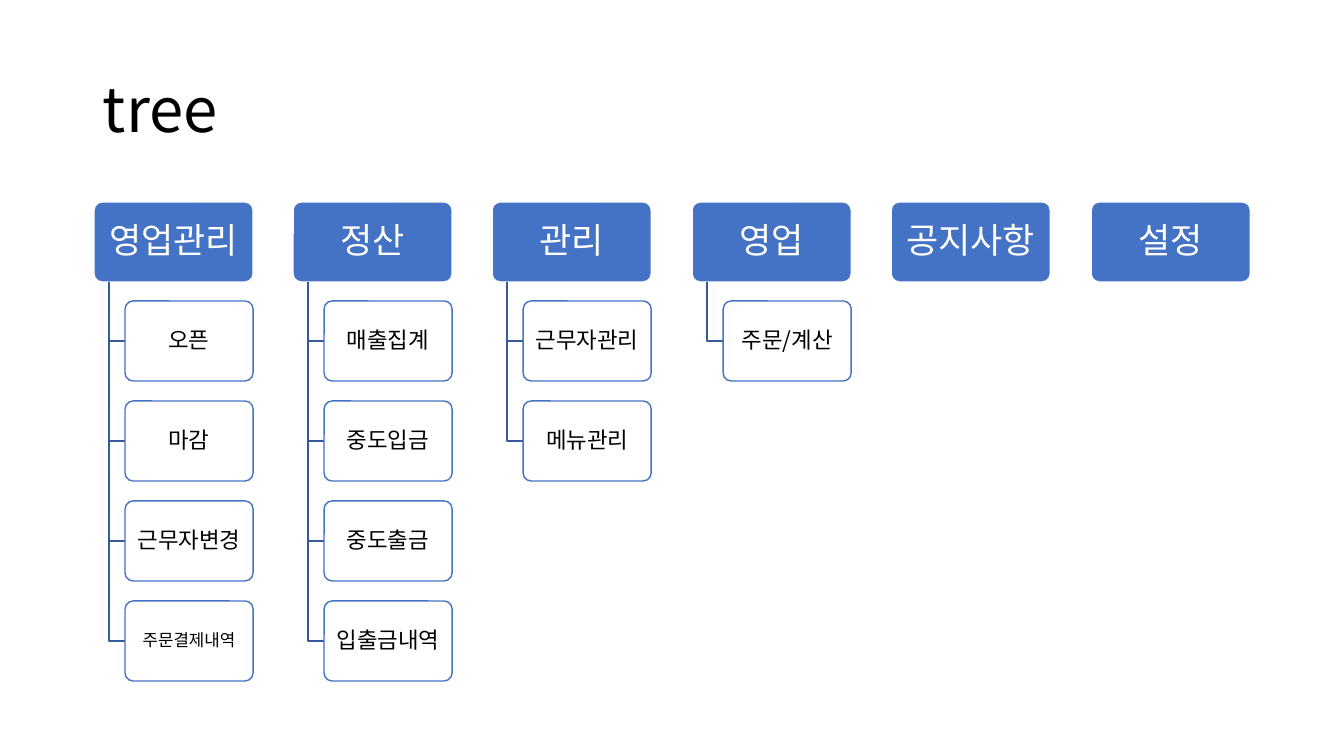
from lxml.etree import SubElement
from pptx import Presentation
from pptx.dml.color import RGBColor
from pptx.enum.shapes import MSO_SHAPE
from pptx.enum.text import MSO_ANCHOR, PP_ALIGN
from pptx.oxml.ns import qn
from pptx.util import Inches, Pt

WHITE = RGBColor(0xFF, 0xFF, 0xFF)
BLACK = RGBColor(0x00, 0x00, 0x00)
BLUE = RGBColor(0x44, 0x72, 0xC4)
DARK_BLUE = RGBColor(0x36, 0x5B, 0x9D)

MENUS = [
    ("영업관리", [("오픈", 16), ("마감", 16), ("근무자변경", 16), ("주문결제내역", 12)]),
    ("정산", [("매출집계", 16), ("중도입금", 16), ("중도출금", 16), ("입출금내역", 16)]),
    ("관리", [("근무자관리", 16), ("메뉴관리", 16)]),
    ("영업", [("주문/계산", 16)]),
    ("공지사항", []),
    ("설정", []),
]


class TreeSlide:
    """Draws the parts of a menu tree on one slide, in pixels."""

    font = "Noto Sans CJK KR"
    scale = 914400 / 100.8

    def __init__(self, prs):
        self.s = prs.slides.add_slide(prs.slide_layouts[6])

    def emu(self, *px):
        return [round(v * self.scale) for v in px]

    def label(self, sp, text, size, color, align, inset_x, inset_y):
        tf = sp.text_frame
        frame = {
            "word_wrap": True, "vertical_anchor": MSO_ANCHOR.MIDDLE,
            "margin_left": Inches(inset_x), "margin_right": Inches(inset_x),
            "margin_top": Inches(inset_y), "margin_bottom": Inches(inset_y),
        }
        p = tf.paragraphs[0]
        r = p.add_run()
        r.text = text
        r.font.color.rgb = color
        formats = [
            (tf, frame),
            (p, {"alignment": align, "line_spacing": 0.9}),
            (r.font, {"size": Pt(size), "name": self.font}),
        ]
        for obj, values in formats:
            for name, value in values.items():
                setattr(obj, name, value)
        SubElement(r.font._element, qn("a:ea"), typeface=self.font)

    def title(self, text, *box):
        sp = self.s.shapes.add_textbox(*self.emu(*box))
        self.label(sp, text, 44, BLACK, PP_ALIGN.LEFT, 0.1, 0.05)

    def outline(self, sp, color):
        sp.shadow.inherit = False
        sp.line.color.rgb = color
        sp.line.width = Pt(1)

    def box(self, text, size, box, fill, line, color, inset_x, inset_y, alpha=100):
        sp = self.s.shapes.add_shape(MSO_SHAPE.ROUNDED_RECTANGLE, *self.emu(*box))
        sp.adjustments[0] = 0.1
        sp.fill.solid()
        sp.fill.fore_color.rgb = fill
        if alpha < 100:
            clr = sp._element.spPr.find(qn("a:solidFill"))[0]
            SubElement(clr, qn("a:alpha"), val=str(alpha * 1000))
        self.outline(sp, line)
        self.label(sp, text, size, color, PP_ALIGN.CENTER, inset_x, inset_y)

    def header(self, text, *box):
        self.box(text, 25, box, BLUE, WHITE, WHITE, 0.07, 0.05)

    def item(self, text, size, *box):
        self.box(text, size, box, WHITE, BLUE, BLACK, 0.05, 0.04, alpha=90)

    def elbow(self, x, top, right, bottom):
        fb = self.s.shapes.build_freeform(x, top, self.scale)
        fb.add_line_segments([(x, bottom), (right, bottom)], close=False)
        sp = fb.convert_to_shape()
        sp.fill.background()
        self.outline(sp, DARK_BLUE)


prs = Presentation()
prs.slide_width, prs.slide_height = Inches(13.33), Inches(7.5)
tree = TreeSlide(prs)
tree.title("tree", 93, 40, 1159, 146)

LEFT, TOP, HEADER_W, BOX_H = 94, 202, 159, 80
ITEM_TOP, ITEM_W, ROW_PITCH = 301, 128, 100
STEM, INDENT = 15, 31

for col, (menu, items) in enumerate(MENUS):
    x = LEFT + col * 997 // 5
    tree.header(menu, x, TOP, HEADER_W, BOX_H)
    for row, (text, size) in enumerate(items):
        y = ITEM_TOP + row * ROW_PITCH
        tree.elbow(x + STEM, TOP + BOX_H, x + INDENT, y + BOX_H // 2)
        tree.item(text, size, x + INDENT, y, ITEM_W, BOX_H)

prs.save("out.pptx")
